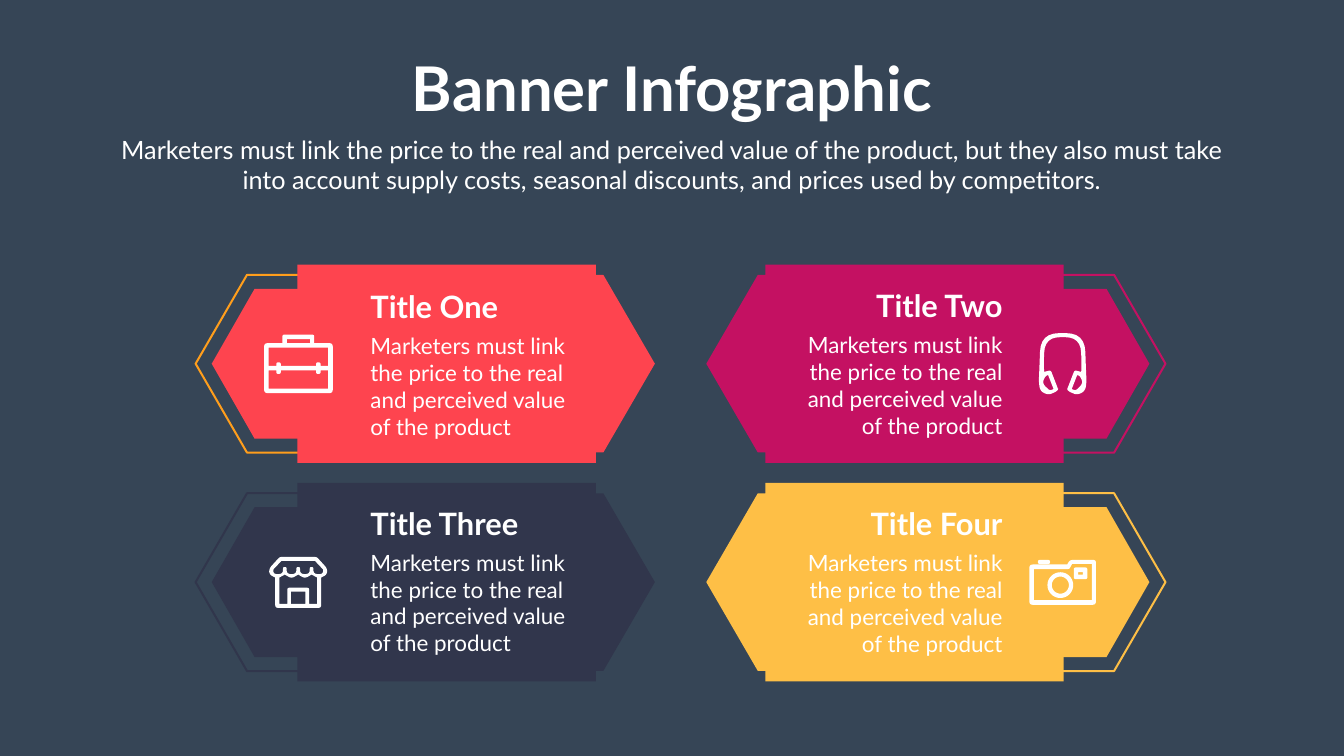
from math import cos, hypot, pi, sin

from pptx import Presentation
from pptx.dml.color import RGBColor
from pptx.enum.text import MSO_ANCHOR, MSO_AUTO_SIZE, PP_ALIGN
from pptx.util import Pt

LEFT, CENTER, RIGHT = PP_ALIGN.LEFT, PP_ALIGN.CENTER, PP_ALIGN.RIGHT
TOP, NO_FIT = MSO_ANCHOR.TOP, MSO_AUTO_SIZE.NONE

COLORS = {
    "background": "364556", "white": "FFFFFF", "orange": "FF9E1C",
    "red": "FE444F", "magenta": "C41162", "navy": "31364C", "yellow": "FEBF46",
}
FONT = "Lato"
MIRROR_SUM = 1944  # left x + right x of any mirrored pair of points
ROW_CENTERS = (519.6, 831.6)
BODY_TEXT = "Marketers must link the price to the real and perceived value of the product"
INTRO = ("Marketers must link the price to the real and perceived value of the product, "
         "but they also must take into account supply costs, seasonal discounts, "
         "and prices used by competitors.")

# Left-hand banner outlines: x, and y measured from the row centre
OUTLINE = [(499, -127), (352.8, -127), (279.4, 0), (352.8, 127), (499, 127), (572.4, 0)]
BANNER = [(935.3, 0), (861.8, -126.7), (851, -126.7), (851, -141.7), (424.8, -141.7),
          (424.8, 141.7), (851, 141.7), (851, 126.7), (861.8, 126.7)]
POINTER = [(487.4, -107), (363.6, -107), (302.4, 0), (363.6, 107), (487.4, 107), (549.4, 0)]


# Contours: a vertex is (x, y) or (x, y, corner radius)
def round_corners(vertices, steps=6):
    points = []
    for index, (x, y, *radius) in enumerate(vertices):
        if not radius:
            points.append((x, y))
            continue
        ends = []
        for near in (vertices[index - 1], vertices[(index + 1) % len(vertices)]):
            ratio = radius[0] / hypot(near[0] - x, near[1] - y)
            ends.append((x + (near[0] - x) * ratio, y + (near[1] - y) * ratio))
        (x1, y1), (x2, y2) = ends
        for step in range(steps + 1):
            t = step / steps
            a, b, c = (1 - t) ** 2, 2 * t * (1 - t), t * t
            points.append((a * x1 + b * x + c * x2, a * y1 + b * y + c * y2))
    return points


def rectangle(left, top, right, bottom, *radius):
    corners = [(left, top), (right, top), (right, bottom), (left, bottom)]
    return [(*corner, *radius) for corner in corners]


def circle(x, y, radius, steps=40):
    angles = [2 * pi * step / steps for step in range(steps)]
    return [(x + radius * cos(angle), y + radius * sin(angle)) for angle in angles]


def flip(vertices, total, axis=0):
    flipped = []
    for vertex in vertices:
        moved = list(vertex)
        moved[axis] = total - moved[axis]
        flipped.append(tuple(moved))
    return flipped


# Icons: each is a list of shapes, each shape a list of contours
def briefcase():
    case = [(0, 12.2, 5), (26, 12.2), (26, 0, 3), (71.5, 0, 3), (71.5, 12.2),
            (98, 12.2, 5), (98, 83.5, 5), (0, 83.5, 5)]
    upper = [(6.5, 18.7), (91.5, 18.7)]
    for right in (80.6, 23.8):
        left = right - 6.5
        upper += [(right, 44.6), (right, 39.6, 3), (left, 39.6, 3), (left, 44.6)]
    upper[2:2] = [(91.5, 44.6)]
    upper.append((6.5, 44.6))
    handle = rectangle(32.4, 6.5, 65.5, 12.2)
    return [[case, handle, upper, flip(upper, 95.7, axis=1)]]


def headphones():
    band = [(3, 0, 27), (1.5, 44.6, 6), (0.5, 68, 2), (2, 84, 9), (15, 88, 4),
            (26.6, 83, 4), (28, 80, 2), (17.5, 53, 3), (8, 55.4), (7.5, 43, 5), (9, 5.8, 22)]
    cup = [(13.7, 59.8), (21.6, 80), (15.8, 82, 3), (7, 73.4, 4), (6.5, 68.4, 3), (10, 61.2, 3)]
    return [[band + flip(band, 69)[::-1], cup, flip(cup, 69)]]


def shop():
    front = [(15, 0, 3), (67.8, 0, 3), (82.8, 16.5, 5), (82.8, 25, 5), (74.2, 29.5),
             (74.2, 72.7, 4), (8.6, 72.7, 4), (8.6, 29.5), (0, 25, 5), (0, 16.5, 5)]
    awning = [(17.3, 5.8), (65.5, 5.8), (77, 18), (77, 24.5, 5)]
    for x in (60.5, 41.4, 22.3):
        awning += [(x + 2.6, 24.5, 6), (x + 2.6, 14.4, 2.5),
                   (x - 2.6, 14.4, 2.5), (x - 2.6, 24.5, 6)]
    awning += [(5.8, 24.5, 5), (5.8, 18)]
    wall = [(14.4, 29.5), (22.3, 25.2), (31.8, 30.8, 5), (41.4, 25.2), (51, 30.8, 5),
            (60.5, 25.2), (68.4, 29.5), (68.4, 67), (57, 67), (57, 44, 3),
            (25.9, 44, 3), (25.9, 67), (14.4, 67)]
    return [[front, awning, wall, rectangle(31, 49.7, 51.8, 67)]]


def camera():
    body = [(0, 6.5, 5), (54, 6.5), (58, 0, 4), (95, 0, 4), (95, 64.1, 5), (0, 64.1, 5)]
    inside = [(6.5, 13), (57, 13, 2), (61, 5.8), (89.3, 5.8), (89.3, 57.6), (6.5, 57.6)]
    return [
        [body, inside],
        [rectangle(12.2, 0, 29.5, 5.8, 2.9)],
        [rectangle(63.4, 10.8, 82.8, 27.4, 3), rectangle(69.8, 17.3, 76.3, 20.9)],
        [circle(44.2, 36, 18.4), circle(44.2, 36, 12.2)],
    ]


# Slide elements
def rgb(name):
    return RGBColor.from_string(COLORS[name])


def add_outline(slide, contours, left=0, top=0, fill=None, line=None):
    builder = None
    for contour in contours:
        start, *rest = [(Pt(left + x), Pt(top + y)) for x, y in round_corners(contour)]
        if builder is None:
            builder = slide.shapes.build_freeform(*start, scale=1.0)
        else:
            builder.move_to(*start)
        builder.add_line_segments(rest, close=True)
    shape = builder.convert_to_shape()
    shape.shadow.inherit = False
    if fill:
        shape.fill.solid()
        shape.fill.fore_color.rgb = rgb(fill)
    else:
        shape.fill.background()
    if line:
        shape.line.color.rgb = rgb(line)
        shape.line.width = Pt(2.89)
    else:
        shape.line.fill.background()


def write_text(box, frame, text, size, align, bold=False):
    box.left, box.top, box.width, box.height = [Pt(length) for length in frame]
    body = box.text_frame
    body.word_wrap = True
    body.auto_size = NO_FIT
    body.vertical_anchor = TOP
    para = body.paragraphs[0]
    para.alignment = align
    para.space_before = Pt(0)
    span = para.add_run()
    span.text = text
    span.font.name = FONT
    span.font.size = Pt(size)
    span.font.bold = bold
    span.font.color.rgb = rgb("white")


def add_text(slide, *content, **options):
    write_text(slide.shapes.add_textbox(0, 0, 0, 0), *content, **options)


def add_card(slide, row, mirrored, color, line, heading, width, top, icon, icon_at):
    # Banner shapes, from back to front
    for vertices, fill, stroke in ((OUTLINE, None, line), (BANNER, color, None),
                                   (POINTER, color, None)):
        contour = flip(vertices, MIRROR_SUM) if mirrored else vertices
        add_outline(slide, [contour], top=ROW_CENTERS[row], fill=fill, line=stroke)
    # Icon
    for contours in icon:
        add_outline(slide, contours, *icon_at, fill="white")
    # Heading and text
    align = RIGHT if mirrored else LEFT
    for text, box_width, offset, height, size, bold in (
            (heading, width, 0, 60.5, 44, True), (BODY_TEXT, 326.2, 63.4, 162.7, 32, False)):
        left = 1439 - box_width if mirrored else 522
        add_text(slide, (left, top + offset, box_width, height), text, size, align, bold=bold)


def main():
    deck = Presentation()
    deck.slide_width, deck.slide_height = Pt(1919.52), Pt(1080)
    slide = deck.slides.add_slide(deck.slide_layouts[0])
    slide.background.fill.solid()
    slide.background.fill.fore_color.rgb = rgb("background")

    # Title and introduction
    write_text(slide.shapes.title, (571.7, 68.4, 776.2, 113.8),
               "Banner Infographic", 88, CENTER, bold=True)
    write_text(slide.placeholders[1], (159.8, 188.6, 1599.1, 94.3), INTRO, 36, CENTER)

    # Four banner cards
    cards = [
        (0, False, "red", "orange", "Title One", 198.7, 408.2, briefcase(), (377.3, 478.1)),
        (1, False, "navy", "navy", "Title Three", 236.2, 717.1, shop(), (384.5, 795.6)),
        (0, True, "magenta", "magenta", "Title Two", 215.3, 406.1, headphones(), (1483.2, 475.9)),
        (1, True, "yellow", "yellow", "Title Four", 215.3, 717.8, camera(), (1470.2, 799.9)),
    ]
    for card in cards:
        add_card(slide, *card)
    deck.save("out.pptx")


if __name__ == "__main__":
    main()
